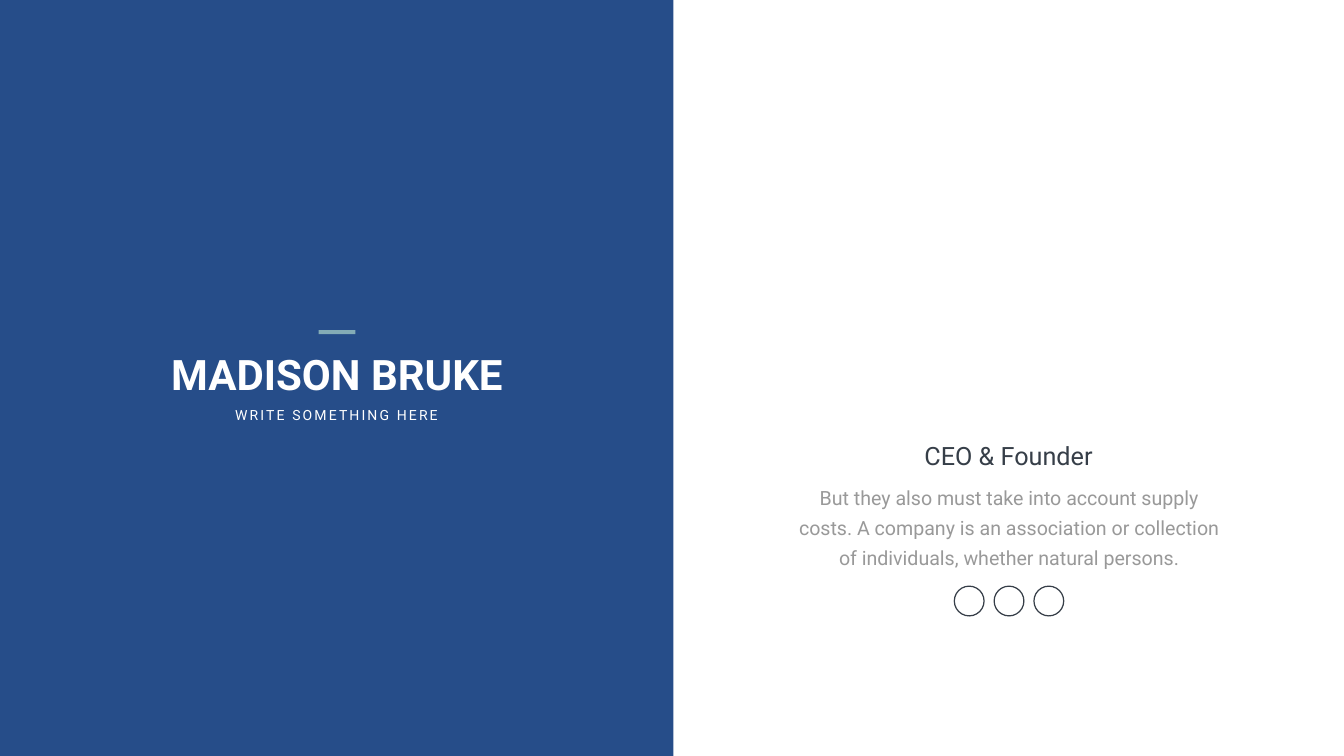
from dataclasses import dataclass

from pptx import Presentation
from pptx.dml.color import RGBColor
from pptx.enum.shapes import MSO_SHAPE
from pptx.enum.text import MSO_ANCHOR, MSO_AUTO_SIZE, PP_ALIGN
from pptx.shapes.autoshape import Shape
from pptx.slide import Slide
from pptx.util import Emu, Pt

RECTANGLE = MSO_SHAPE.RECTANGLE
OVAL = MSO_SHAPE.OVAL
CENTER = PP_ALIGN.CENTER
TOP = MSO_ANCHOR.TOP
NO_AUTO_SIZE = MSO_AUTO_SIZE.NONE

EMU_PER_PX = 9144
TITLE_ONLY = 5
FONT = "Roboto"
COLORS = {
    "white": "FFFFFF",
    "blue": "264D89",
    "teal": "84ACB6",
    "dark": "363E48",
    "gray": "999999",
}

RING_COUNT = 3
RING_LEFT = 1893
RING_TOP = 1163
RING_SIZE = 59
RING_PITCH = 79
RING_LINE = 1.75


@dataclass(frozen=True)
class Box:
    left: int
    top: int
    width: int
    height: int


@dataclass(frozen=True)
class Label:
    text: str
    box: Box
    size: int
    color: str
    bold: bool = False
    wrap: bool = False
    letter_spacing: int = 0
    line_spacing: int = 0
    margin_x: int = 10
    margin_y: int = 5


NAME = Label("MADISON BRUKE", Box(256, 686, 825, 111), 60, "white", bold=True, wrap=True)
LABELS = [
    Label("WRITE SOMETHING HERE", Box(450, 801, 435, 44), 20, "white", letter_spacing=3),
    Label("CEO & Founder", Box(1814, 869, 373, 71), 36, "dark"),
    Label(
        "But they also must take into account supply costs. A company is an "
        "association or collection of individuals, whether natural persons.",
        Box(1555, 939, 893, 200), 28, "gray",
        wrap=True, line_spacing=43, margin_x=24, margin_y=12,
    ),
]


def px(value: int) -> Emu:
    return Emu(value * EMU_PER_PX)


def color(name: str) -> RGBColor:
    return RGBColor.from_string(COLORS[name])


def place(shape: Shape, box: Box) -> None:
    shape.left, shape.top = px(box.left), px(box.top)
    shape.width, shape.height = px(box.width), px(box.height)


def write_label(shape: Shape, label: Label) -> None:
    place(shape, label.box)
    text_frame = shape.text_frame
    text_frame.text = label.text
    text_frame.auto_size = NO_AUTO_SIZE
    text_frame.word_wrap = label.wrap
    text_frame.vertical_anchor = TOP
    text_frame.margin_left = text_frame.margin_right = px(label.margin_x)
    text_frame.margin_top = text_frame.margin_bottom = px(label.margin_y)
    paragraph = text_frame.paragraphs[0]
    paragraph.alignment = CENTER
    paragraph.space_before = Pt(0)
    if label.line_spacing:
        paragraph.line_spacing = Pt(label.line_spacing)
    run = paragraph.runs[0]
    run.font.name = FONT
    run.font.size = Pt(label.size)
    run.font.bold = label.bold
    run.font.color.rgb = color(label.color)
    if label.letter_spacing:
        run._r.get_or_add_rPr().set("spc", str(label.letter_spacing * 100))


def add_label(slide: Slide, label: Label) -> None:
    write_label(slide.shapes.add_textbox(0, 0, 0, 0), label)


def add_rectangle(slide: Slide, box: Box, fill: str) -> Shape:
    shape = slide.shapes.add_shape(RECTANGLE, 0, 0, 0, 0)
    place(shape, box)
    shape.shadow.inherit = False
    shape.fill.solid()
    shape.fill.fore_color.rgb = color(fill)
    shape.line.fill.background()
    return shape


def add_ring(slide: Slide, box: Box) -> None:
    shape = slide.shapes.add_shape(OVAL, 0, 0, 0, 0)
    place(shape, box)
    shape.shadow.inherit = False
    shape.fill.background()
    shape.line.color.rgb = color("dark")
    shape.line.width = Pt(RING_LINE)


def main() -> None:
    presentation = Presentation()
    presentation.slide_width = px(2666)
    presentation.slide_height = px(1500)
    slide = presentation.slides.add_slide(presentation.slide_layouts[TITLE_ONLY])
    slide.background.fill.solid()
    slide.background.fill.fore_color.rgb = color("white")

    title = slide.shapes.title
    panel = add_rectangle(slide, Box(0, 0, 1336, 1500), "blue")
    title.element.addprevious(panel.element)
    write_label(title, NAME)
    add_rectangle(slide, Box(632, 655, 73, 8), "teal")

    for label in LABELS:
        add_label(slide, label)
    for index in range(RING_COUNT):
        add_ring(slide, Box(RING_LEFT + index * RING_PITCH, RING_TOP, RING_SIZE, RING_SIZE))

    presentation.save("out.pptx")


if __name__ == "__main__":
    main()
